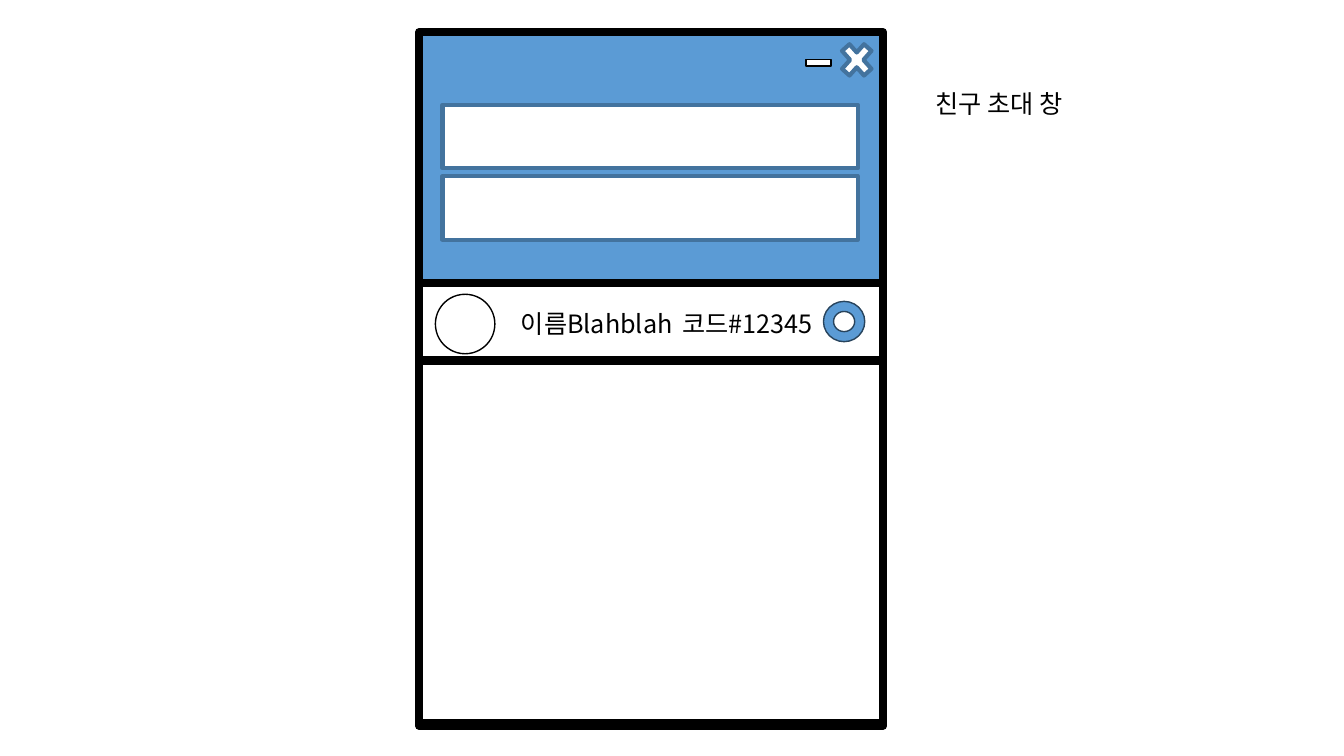
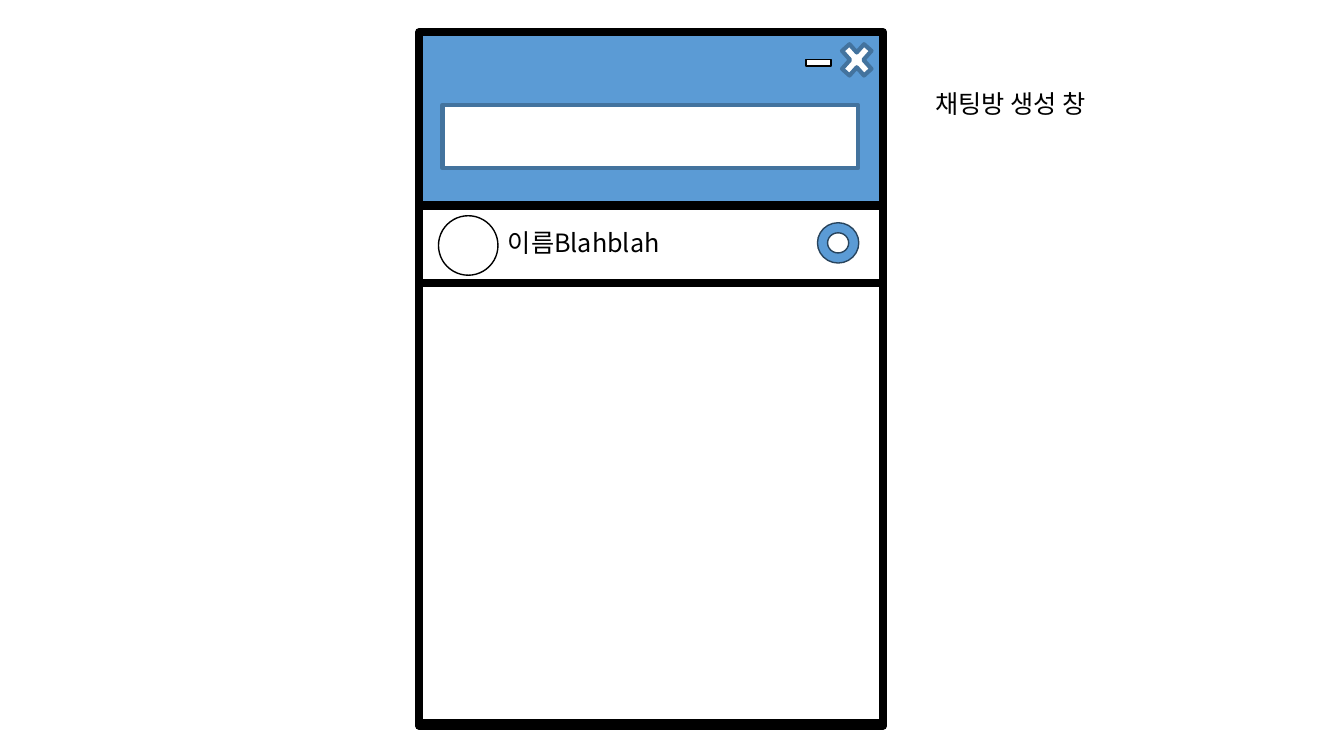
from collections import namedtuple

from pptx import Presentation
from pptx.dml.color import RGBColor
from pptx.enum.shapes import MSO_SHAPE
from pptx.enum.text import MSO_AUTO_SIZE
from pptx.oxml.ns import qn
from pptx.util import Pt

BLACK = RGBColor(0x00, 0x00, 0x00)
WHITE = RGBColor(0xFF, 0xFF, 0xFF)
BLUE = RGBColor(0x5B, 0x9B, 0xD5)
STEEL = RGBColor(0x43, 0x73, 0x9E)
NAVY = RGBColor(0x28, 0x44, 0x5D)
FONT = "Noto Sans CJK KR"

Box = namedtuple("Box", "left top width height")

WINDOW = Box(299.5, 23, 331.2, 495.4)
CAPTION = Box(661, 59.8, 275, 28.8)
BODY_TOP = 179.3
BODY_HEIGHT = 314.6
ROW_HEIGHT = 55.4
FIELD_PITCH = 51.1
LABEL_SIZE = (142.6, 28.8)


def inside(parent, left, top, width, height):
    """Return a box whose position is given relative to its parent."""
    return Box(parent.left + left, parent.top + top, width, height)


def add_figure(slide, kind, box, fill=WHITE, line=BLACK, weight=1):
    shape = slide.shapes.add_shape(kind, *map(Pt, box))
    shape.shadow.inherit = False
    shape.fill.solid()
    shape.fill.fore_color.rgb = fill
    shape.line.color.rgb = line
    shape.line.width = Pt(weight)


def add_text(slide, text, box, size=18, color=BLACK, font=FONT):
    frame = slide.shapes.add_textbox(*map(Pt, box)).text_frame
    frame.word_wrap = True
    frame.auto_size = MSO_AUTO_SIZE.SHAPE_TO_FIT_TEXT
    span = frame.paragraphs[0].add_run()
    span.text = text
    span.font.size = Pt(size)
    span.font.color.rgb = color
    span.font.name = font
    east_asian = span.font._element.makeelement(qn("a:ea"), {"typeface": font})
    span.font._element.append(east_asian)


def add_window(slide, window, field_count):
    """Draw the frame, its buttons, the input fields and the empty body."""
    add_figure(slide, MSO_SHAPE.RECTANGLE, window, fill=BLUE, weight=6)
    add_figure(slide, MSO_SHAPE.MATH_MULTIPLY,
               inside(window, 297.4, 2.9, 30.2, 33.8), line=STEEL, weight=3)
    add_figure(slide, MSO_SHAPE.MATH_MINUS,
               inside(window, 272.9, 12.2, 24.5, 19.4))
    for index in range(field_count):
        field = inside(window, 16.6, 51.8 + index * FIELD_PITCH, 296.6, 45.4)
        add_figure(slide, MSO_SHAPE.RECTANGLE, field, line=STEEL, weight=3)
    body = inside(window, 0, BODY_TOP, window.width, BODY_HEIGHT)
    add_figure(slide, MSO_SHAPE.RECTANGLE, body, weight=6)


def add_friend_row(slide, row, avatar, labels, selector):
    """Draw one friend; avatar, labels and selector hold offsets in the row."""
    add_figure(slide, MSO_SHAPE.RECTANGLE, row, weight=6)
    add_figure(slide, MSO_SHAPE.OVAL, inside(row, *avatar, 42.5, 42.5))
    for text, left, top in labels:
        add_text(slide, text, inside(row, left, top, *LABEL_SIZE))
    add_figure(slide, MSO_SHAPE.DONUT, inside(row, *selector, 29.5, 28.8),
               fill=BLUE, line=NAVY)


def add_page(deck, caption, field_count, row_top, **row_parts):
    slide = deck.slides.add_slide(deck.slide_layouts[6])
    add_window(slide, WINDOW, field_count)
    row = inside(WINDOW, 0, row_top, WINDOW.width, ROW_HEIGHT)
    add_friend_row(slide, row, **row_parts)
    add_text(slide, caption, CAPTION)


def main():
    deck = Presentation()
    deck.slide_width = Pt(960)
    deck.slide_height = Pt(540)
    add_page(deck, "친구 초대 창", field_count=2, row_top=BODY_TOP,
             avatar=(11.5, 7.9), selector=(288.7, 13),
             labels=[("이름Blahblah", 65.5, 14.4),
                     ("코드#12345", 180.7, 14.4)])
    add_page(deck, "채팅방 생성 창", field_count=1,
             row_top=BODY_TOP - ROW_HEIGHT,
             avatar=(13.7, 7.2), selector=(284.4, 12.2),
             labels=[("이름Blahblah", 56.2, 12.2)])
    deck.save("out.pptx")


if __name__ == "__main__":
    main()
